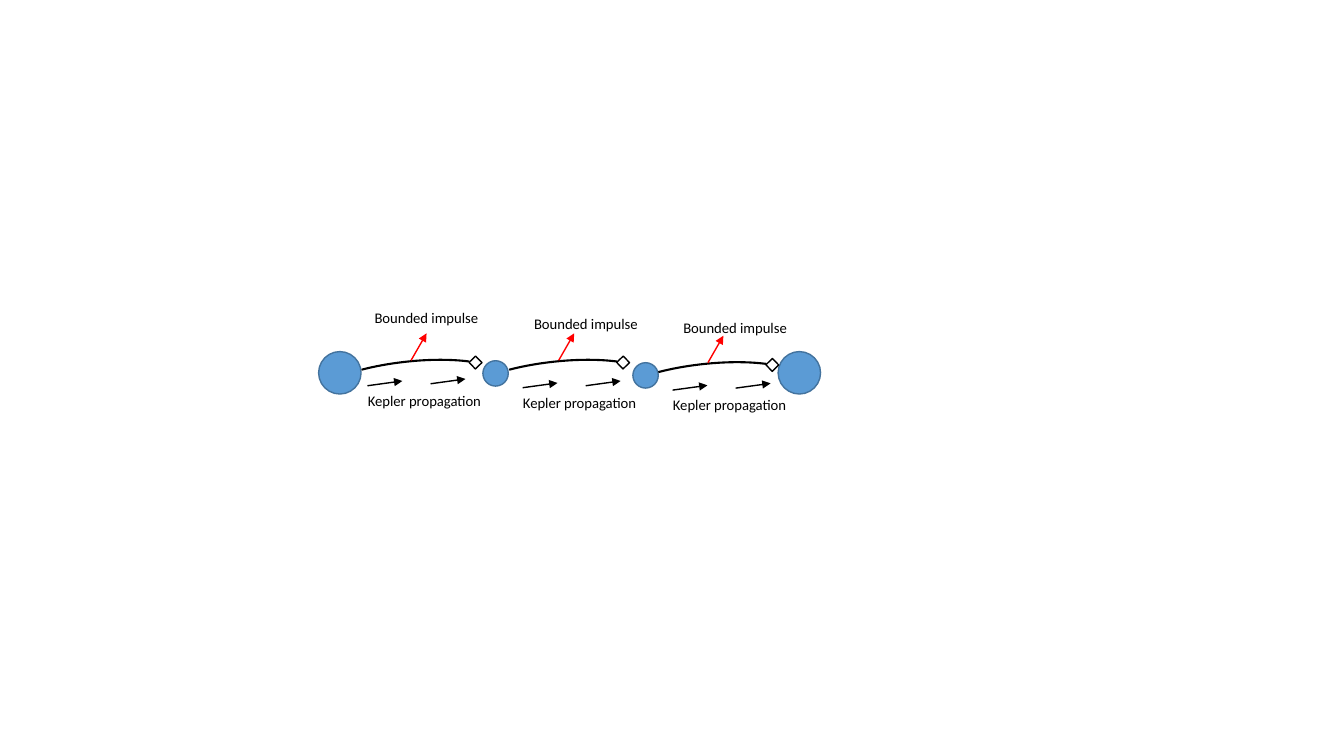
from lxml import etree
from pptx import Presentation
from pptx.dml.color import RGBColor
from pptx.enum import shapes, text
from pptx.oxml import ns
from pptx.util import Cm, Pt

# All lengths are centimetres.
SLIDE = (33.87, 19.05)
BLACK, RED, WHITE, BLUE, DARK_BLUE = "000000", "FF0000", "FFFFFF", "5B9BD5", "43739E"

# left, top, diameter
NODES = [(8.03, 8.86, 1.07), (19.61, 8.86, 1.07), (12.17, 9.09, 0.64), (15.95, 9.14, 0.64)]

# Left and top of each part of a segment
SEGMENTS = [
    {"arc": (7.59, 9.12), "impulse": (9.19, 7.65), "kepler": (9.02, 9.75)},
    {"arc": (11.31, 9.12), "impulse": (13.21, 7.82), "kepler": (12.93, 9.8)},
    {"arc": (15.07, 9.18), "impulse": (16.97, 7.9), "kepler": (16.71, 9.86)},
]
ARC_SIZE, ARC_ANGLES, ARC_TURN = (5.31, 1.65), (129.481, 203.393), 353.2
MARKER_OFFSET, MARKER_SIZE = (4.28, -0.1), 0.23
IMPULSE_START, IMPULSE_STEP = (2.77, -0.04), (0.39, -0.68)
KEPLER_STARTS, KEPLER_STEP = [(0.24, -0.03), (1.83, -0.08)], (0.88, -0.12)


def color(value):
    return RGBColor.from_string(value)


def shift(point, offset):
    return point[0] + offset[0], point[1] + offset[1]


def add_shape(kind, at, size, fill=None, line=BLACK, width=1, turn=0):
    s = slide.shapes.add_shape(kind, *map(Cm, at), *map(Cm, size))
    s.shadow.inherit = False
    s.rotation = turn
    if fill:
        s.fill.solid()
        s.fill.fore_color.rgb = color(fill)
    else:
        s.fill.background()
    s.line.color.rgb = color(line)
    s.line.width = Pt(width)
    return s


def add_arrow(start, step, line=BLACK):
    end = shift(start, step)
    s = slide.shapes.add_connector(shapes.MSO_CONNECTOR.STRAIGHT, *map(Cm, start + end))
    s.line.color.rgb = color(line)
    s.line.width = Pt(1)
    etree.SubElement(s.line._get_or_add_ln(), ns.qn("a:tailEnd"), type="triangle")
    etree.SubElement(s._element.spPr, ns.qn("a:effectLst"))


def add_text(words, at, width, height=0.71, size=10.5, font="Calibri", ink=BLACK):
    tf = slide.shapes.add_textbox(*map(Cm, (*at, width, height))).text_frame
    tf.word_wrap = False
    tf.auto_size = text.MSO_AUTO_SIZE.SHAPE_TO_FIT_TEXT
    r = tf.paragraphs[0].add_run()
    r.text = words
    r.font.size, r.font.name = Pt(size), font
    r.font.color.rgb = color(ink)


prs = Presentation()
prs.slide_width, prs.slide_height = map(Cm, SLIDE)
slide = prs.slides.add_slide(prs.slide_layouts[6])

for left, top, diameter in NODES:
    add_shape(shapes.MSO_SHAPE.OVAL, (left, top), (diameter, diameter), BLUE, DARK_BLUE)

for segment in SEGMENTS:
    arc = add_shape(shapes.MSO_SHAPE.ARC, segment["arc"], ARC_SIZE, width=1.5, turn=ARC_TURN)
    arc.adjustments[0], arc.adjustments[1] = ARC_ANGLES
    add_shape(shapes.MSO_SHAPE.RECTANGLE, shift(segment["arc"], MARKER_OFFSET),
              (MARKER_SIZE, MARKER_SIZE), WHITE, turn=316)
    add_arrow(shift(segment["arc"], IMPULSE_START), IMPULSE_STEP, RED)
    add_text("Bounded impulse", segment["impulse"], 3.18)
    add_text("Kepler propagation", segment["kepler"], 3.43)
    for start in KEPLER_STARTS:
        add_arrow(shift(segment["kepler"], start), KEPLER_STEP)

prs.save("out.pptx")
